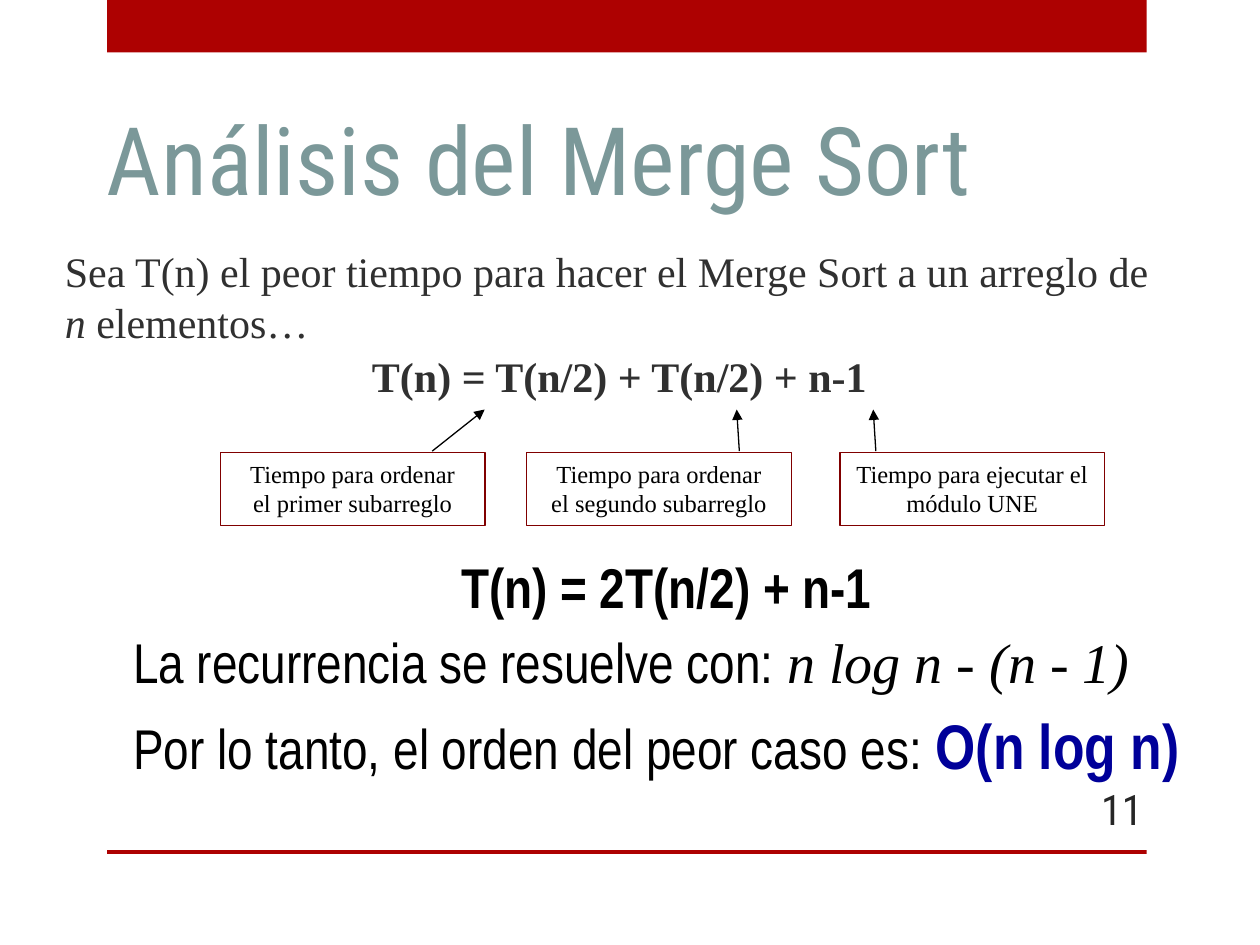
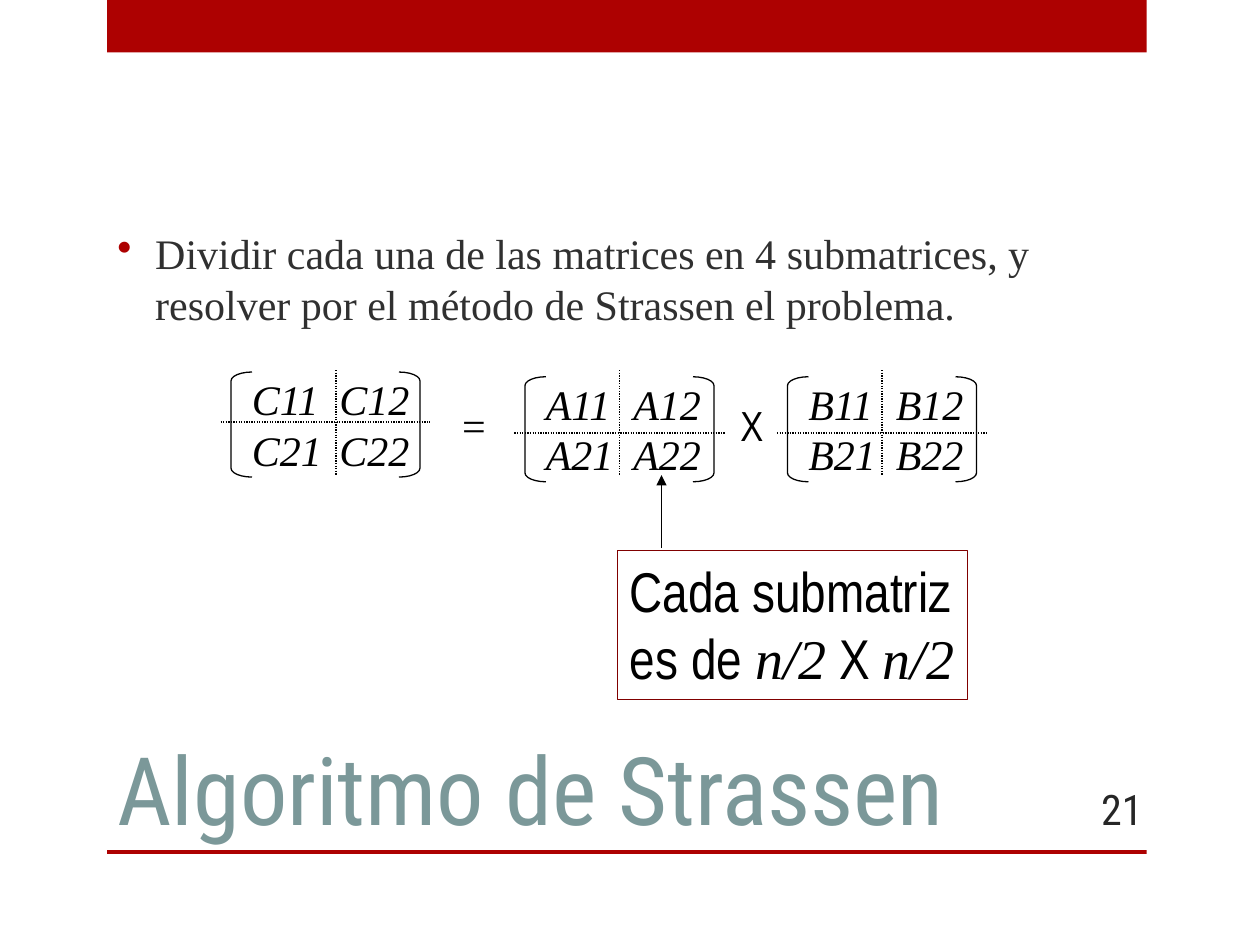
from lxml import etree
from pptx import Presentation
from pptx.dml.color import RGBColor
from pptx.enum import dml, shapes, text
from pptx.oxml import ns
from pptx.util import Pt

SERIF, NARROW, CONDENSED = "Times New Roman", "Arial Narrow", "Roboto Condensed"
RED, TEAL, INK, DARK = "AD0101", "7B9899", "303030", "262626"
BLACK, MAROON, NAVY = "000000", "800000", "000099"
LEFT, CENTER, RIGHT = text.PP_ALIGN.LEFT, text.PP_ALIGN.CENTER, text.PP_ALIGN.RIGHT
TOP, MIDDLE, BOTTOM = (text.MSO_ANCHOR.TOP, text.MSO_ANCHOR.MIDDLE,
                       text.MSO_ANCHOR.BOTTOM)


def rgb(code):
    return RGBColor.from_string(code)


def child(parent, tag, **attributes):
    return etree.SubElement(parent, ns.qn(tag), attributes)


def style_font(font, face, size, color, bold=False, italic=False):
    font.name, font.size = face, Pt(size)
    font.bold, font.italic = bold, italic
    font.color.rgb = rgb(color)


class Deck:
    """Shared look of the slides, and the slide being drawn."""

    def __init__(self):
        self.presentation = Presentation()
        self.presentation.slide_width = Pt(720)
        self.presentation.slide_height = Pt(540)
        self.slide = None

    def new_slide(self, title, title_box, number):
        self.slide = self.presentation.slides.add_slide(
            self.presentation.slide_layouts[6])
        for top, height in ((0, 30), (485.8, 2.2)):
            self.shape(shapes.MSO_SHAPE.RECTANGLE, (61.2, top, 594, height), fill=RED)
        self.text(title_box, [title], (CONDENSED, 54, TEAL), anchor=BOTTOM)
        self.text((600, 448, 60, 28.8), [number], (CONDENSED, 24, DARK),
                  align=RIGHT, anchor=MIDDLE)

    def shape(self, preset, box, fill=None, line=None):
        drawn = self.slide.shapes.add_shape(preset, *map(Pt, box))
        drawn.shadow.inherit = False
        if fill:
            drawn.fill.solid()
            drawn.fill.fore_color.rgb = rgb(fill)
        else:
            drawn.fill.background()
        if line:
            drawn.line.color.rgb = rgb(line)
            drawn.line.width = Pt(0.75)
        else:
            drawn.line.fill.background()
        return drawn

    def fill_frame(self, frame, paragraphs, font, align=LEFT, anchor=TOP, before=0,
                   wrap=True, bullet=None, tab=None):
        """Fill a frame; a paragraph is a string or a list of (words, font) runs."""
        frame.word_wrap, frame.vertical_anchor = wrap, anchor
        for index, content in enumerate(paragraphs):
            paragraph = frame.paragraphs[0] if index == 0 else frame.add_paragraph()
            paragraph.alignment = align
            paragraph.space_before = Pt(before)
            properties = paragraph._p.get_or_add_pPr()
            if bullet:
                properties.set("marL", str(Pt(21.6)))
                properties.set("indent", str(Pt(-21.6)))
                child(child(properties, "a:buClr"), "a:srgbClr", val=bullet)
                child(properties, "a:buChar", char="•")
            if tab:
                child(child(properties, "a:tabLst"), "a:tab",
                      pos=str(Pt(tab)), algn="l")
            if isinstance(content, str):
                paragraph.add_run().text = content
                style_font(paragraph.font, *font)
            else:
                for words, run_font in content:
                    run = paragraph.add_run()
                    run.text = words
                    style_font(run.font, *run_font)

    def text(self, box, paragraphs, font, **layout):
        frame = self.slide.shapes.add_textbox(*map(Pt, box)).text_frame
        self.fill_frame(frame, paragraphs, font, **layout)

    def callout(self, box, paragraphs, font, **layout):
        framed = self.shape(shapes.MSO_SHAPE.RECTANGLE, box, line=MAROON)
        self.fill_frame(framed.text_frame, paragraphs, font, **layout)

    def line(self, start, end, arrow=False, dotted=False):
        connector = self.slide.shapes.add_connector(
            shapes.MSO_CONNECTOR.STRAIGHT, *map(Pt, start + end))
        connector.line.color.rgb = rgb(BLACK)
        connector.line.width = Pt(0.75)
        if dotted:
            connector.line.dash_style = dml.MSO_LINE.ROUND_DOT
        properties = connector._element.spPr
        if arrow:
            child(properties.get_or_add_ln(), "a:tailEnd", type="triangle")
        child(properties, "a:effectLst")

    def matrix(self, letter, left, top, split_x, split_y):
        """Bracketed 2 by 2 matrix, divided by dotted lines."""
        rows = [f"{letter}{row}1\t{letter}{row}2" for row in (1, 2)]
        self.text((left + 4.8, top - 2.6, 112, 64.8), rows,
                  (SERIF, 24, BLACK, False, True), tab=50)
        for preset, x in ((shapes.MSO_SHAPE.LEFT_BRACKET, left),
                          (shapes.MSO_SHAPE.RIGHT_BRACKET, left + 96)):
            bracket = self.shape(preset, (x, top, 12, 60), line=BLACK)
            bracket.adjustments[0] = 0.42
        self.line((split_x, 211.5), (split_x, 271.5), dotted=True)
        self.line((left - 6, split_y), (left + 114, split_y), dotted=True)


def merge_sort_slide(deck):
    deck.new_slide("Análisis del Merge Sort", (54, 36, 553, 90), "11")
    body = (SERIF, 24, INK)
    deck.text((30, 137, 648, 70), [[
        ("Sea T(n) el peor tiempo para hacer el Merge Sort a un arreglo de ", body),
        ("n", body + (False, True)),
        (" elementos…", body),
    ]], body, before=4.8)
    deck.text((30, 197, 648, 40), ["T(n) = T(n/2) + T(n/2) + n-1"],
              body + (True,), align=CENTER, before=4.8)

    costs = [
        (126, ["Tiempo para ordenar", "el primer subarreglo"], 247, 277),
        (301, ["Tiempo para ordenar", "el segundo subarreglo"], 422.5, 421),
        (480, ["Tiempo para ejecutar el", "módulo UNE"], 500.5, 499),
    ]
    for left, explanation, arrow_start, arrow_end in costs:
        deck.callout((left, 258.7, 151.2, 41.8), explanation, (SERIF, 14, BLACK),
                     align=CENTER)
        deck.line((arrow_start, 257.8), (arrow_end, 234), arrow=True)

    plain = (NARROW, 32, BLACK)
    deck.text((42, 312, 678, 48), ["T(n) = 2T(n/2) + n-1"], plain + (True,),
              align=CENTER, before=6.4)
    deck.text((69, 355.2, 651, 84), [
        [("La recurrencia se resuelve con: ", plain),
         ("n log n - (n - 1)", (SERIF, 32, BLACK, False, True))],
        [("Por lo tanto, el orden del peor caso es: ", plain),
         ("O(n log n)", (NARROW, 36, NAVY, True))],
    ], plain, before=6.4)


def strassen_slide(deck):
    deck.new_slide("Algoritmo de Strassen", (60, 360, 534, 126), "21")
    deck.text((60, 48, 594, 222), [
        "Dividir cada una de las matrices en 4 submatrices, y resolver por el "
        "método de Strassen el problema."
    ], (SERIF, 24, INK), anchor=MIDDLE, before=4.8, bullet=RED)

    deck.matrix("C", 132, 212.6, 192, 241.2)
    deck.matrix("A", 300, 215.3, 354, 247.5)
    deck.matrix("B", 450, 215.3, 504, 247.5)
    for sign, left, face in (("=", 257, SERIF), ("X", 416, NARROW)):
        deck.text((left, 224.6, 28, 36), [sign], (face, 24, BLACK), wrap=False)

    plain, formula = (NARROW, 32, BLACK), (SERIF, 32, BLACK, False, True)
    deck.callout((352.8, 314.6, 200.2, 85), [
        "Cada submatriz",
        [("es de ", plain), ("n/2", formula), (" X ", plain), ("n/2", formula)],
    ], plain, wrap=False)
    deck.line((378, 313.2), (378, 271.5), arrow=True)


def main():
    deck = Deck()
    merge_sort_slide(deck)
    strassen_slide(deck)
    deck.presentation.save("out.pptx")


if __name__ == "__main__":
    main()
